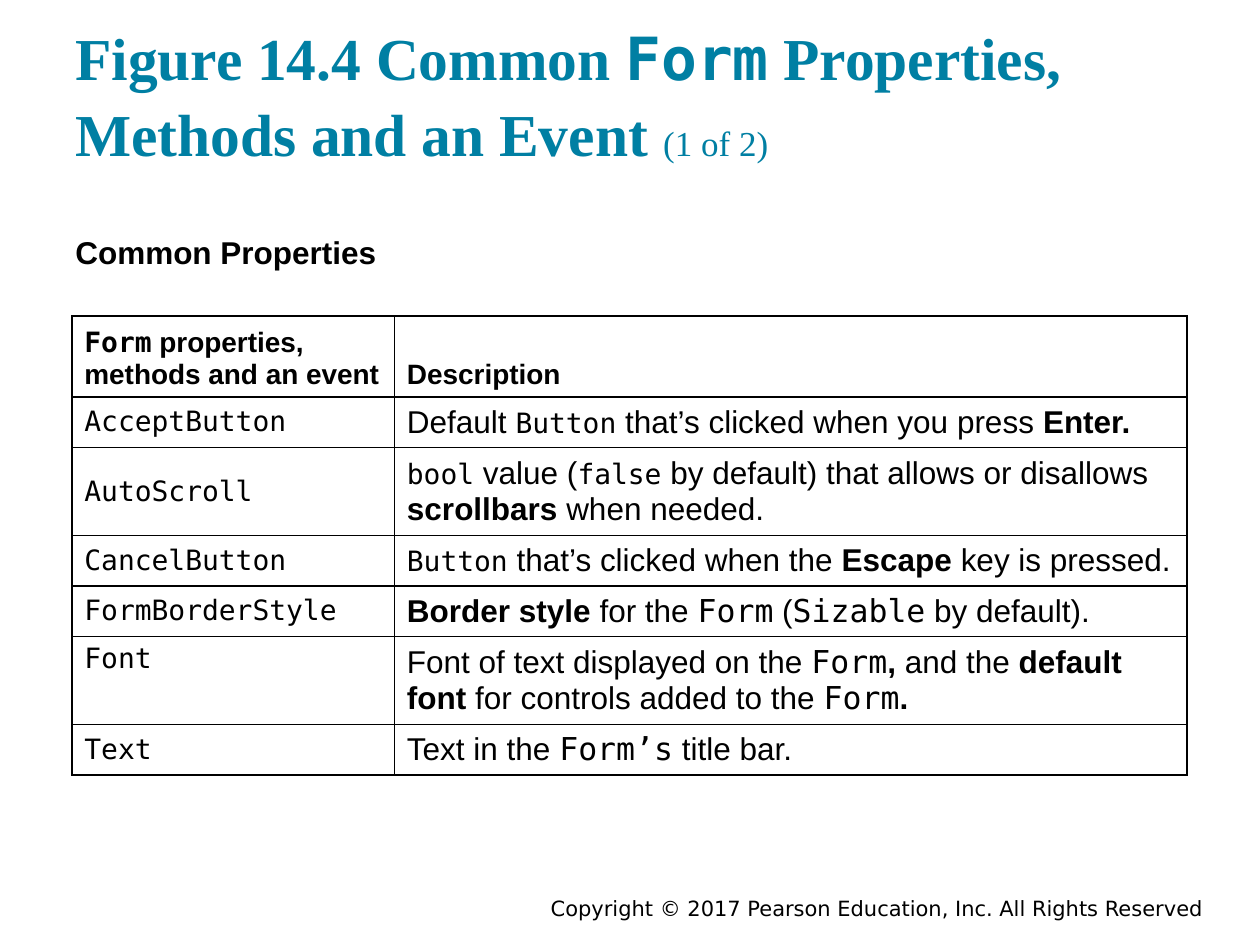
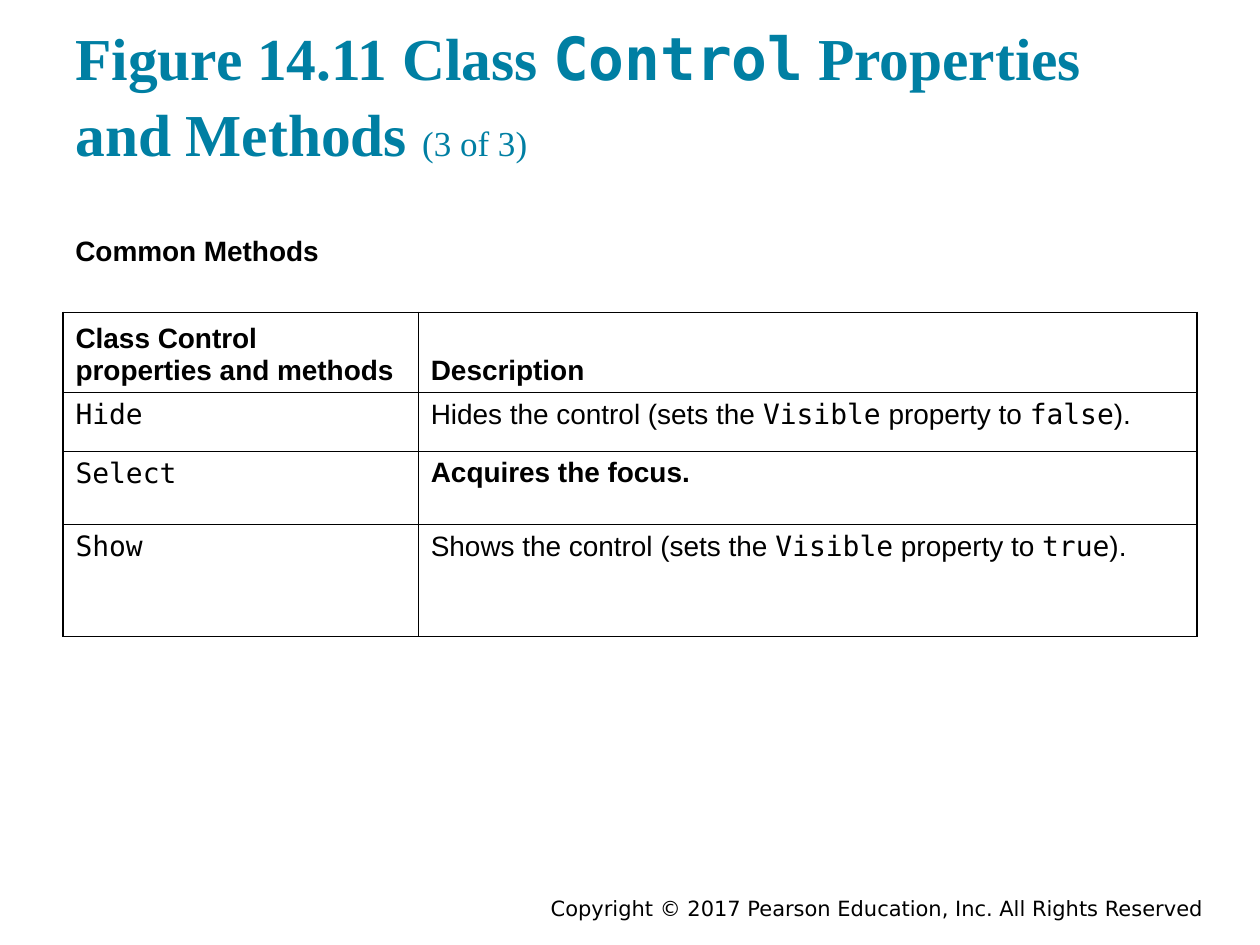
"""Build two slides that list common form and control members in tables."""
import lxml.etree
import pptx
import pptx.dml.color
import pptx.enum.text
import pptx.oxml.ns
import pptx.util

Inches = pptx.util.Inches
TOP = pptx.enum.text.MSO_ANCHOR.TOP
MIDDLE = pptx.enum.text.MSO_ANCHOR.MIDDLE
BOTTOM = pptx.enum.text.MSO_ANCHOR.BOTTOM
LEFT = pptx.enum.text.PP_ALIGN.LEFT
RIGHT = pptx.enum.text.PP_ALIGN.RIGHT

COLORS = {"title": "007FA3", "text": "000000"}
SERIF, SANS, MONO = "Times New Roman", "Arial", "DejaVu Sans Mono"
STYLES = {
    "title": (SERIF, 34, True, "title"),
    "title_code": (MONO, 34, True, "title"),
    "title_part": (SERIF, 20, False, "title"),
    "large": (SANS, 18, False, "text"),
    "large_bold": (SANS, 18, True, "text"),
    "large_code": (MONO, 18, False, "text"),
    "small": (SANS, 16, False, "text"),
    "small_bold": (SANS, 16, True, "text"),
    "small_code": (MONO, 16, False, "text"),
    "small_code_bold": (MONO, 16, True, "text"),
    "footer": ("DejaVu Sans", 12, False, "text"),
}
FOOTER = [("Copyright © 2017 Pearson Education, Inc. All Rights Reserved", "footer")]
DESCRIPTION = [[("Description", "small_bold")]]

PAGES = [
    {
        "title": [("Figure 14.4 Common ", "title"), ("Form", "title_code"),
                  (" Properties, Methods and an Event ", "title"), ("(1 of 2)", "title_part")],
        "heading": [("Common Properties", "large_bold")],
        "heading_height": 0.49,
        "corner": (0.57, 2.51),
        "columns": (2.56, 6.29),
        "header": [[("Form", "small_code_bold"), (" properties,", "small_bold")],
                   [("methods and an event", "small_bold")]],
        "header_height": 0.64,
        "members": [
            ("AcceptButton", 0.34, MIDDLE, MIDDLE, [
                ("Default ", "large"), ("Button", "small_code"),
                (" that’s clicked when you press ", "large"), ("Enter.", "large_bold")]),
            ("AutoScroll", 0.58, MIDDLE, MIDDLE, [
                ("bool", "small_code"), (" value (", "large"), ("false", "small_code"),
                (" by default) that allows or disallows ", "large"),
                ("scrollbars", "large_bold"), (" when needed.", "large")]),
            ("CancelButton", 0.37, MIDDLE, MIDDLE, [
                ("Button", "small_code"), (" that’s clicked when the ", "large"),
                ("Escape", "large_bold"), (" key is pressed.", "large")]),
            ("FormBorderStyle", 0.33, MIDDLE, MIDDLE, [
                ("Border style ", "large_bold"), ("for the ", "large"), ("Form", "large_code"),
                (" (", "large"), ("Sizable", "large_code"), (" by default).", "large")]),
            ("Font", 0.58, TOP, MIDDLE, [
                ("Font of text displayed on the ", "large"), ("Form", "large_code"),
                (", ", "large_bold"), ("and the ", "large"), ("default font ", "large_bold"),
                ("for controls added to the ", "large"), ("Form", "large_code"),
                (".", "large_bold")]),
            ("Text", 0.33, MIDDLE, MIDDLE, [
                ("Text in the ", "large"), ("Form’s", "large_code"), (" title bar.", "large")]),
        ],
    },
    {
        "title": [("Figure 14.11 Class ", "title"), ("Control", "title_code"),
                  (" Properties and Methods ", "title"), ("(3 of 3)", "title_part")],
        "heading": [("Common Methods", "small_bold")],
        "heading_height": 0.41,
        "corner": (0.5, 2.48),
        "columns": (2.82, 6.18),
        "header": [[("Class Control", "small_bold")],
                   [("properties and methods", "small_bold")]],
        "header_height": 0.32,
        "members": [
            ("Hide", 0.47, TOP, TOP, [
                ("Hides the control (sets the ", "small"), ("Visible", "small_code"),
                (" property to ", "small"), ("false", "small_code"), (").", "small")]),
            ("Select", 0.58, TOP, TOP, [("Acquires the focus.", "small_bold")]),
            ("Show", 0.89, TOP, TOP, [
                ("Shows the control (sets the ", "small"), ("Visible", "small_code"),
                (" property to ", "small"), ("true", "small_code"), (").", "small")]),
        ],
    },
]


def write_paragraphs(frame, paragraphs, align=LEFT, line_spacing=None):
    for index, spans in enumerate(paragraphs):
        para = frame.add_paragraph() if index else frame.paragraphs[0]
        para.alignment = align
        para.line_spacing = line_spacing
        for text, style in spans:
            font, size, bold, color = STYLES[style]
            span = para.add_run()
            span.text = text
            span.font.name = font
            span.font.size = pptx.util.Pt(size)
            span.font.bold = bold
            span.font.color.rgb = pptx.dml.color.RGBColor.from_string(COLORS[color])


def draw_borders(cell):
    properties = cell._tc.get_or_add_tcPr()
    for side in ("lnL", "lnR", "lnT", "lnB"):
        line = lxml.etree.SubElement(properties, pptx.oxml.ns.qn(f"a:{side}"), w="12700")
        fill = lxml.etree.SubElement(line, pptx.oxml.ns.qn("a:solidFill"))
        lxml.etree.SubElement(fill, pptx.oxml.ns.qn("a:srgbClr"), val=COLORS["text"])


deck = pptx.Presentation()
deck.slide_width, deck.slide_height = Inches(10), Inches(7.5)

for content in PAGES:
    page = deck.slides.add_slide(deck.slide_layouts[6])

    boxes = [
        ((3, 7.08, 6.65, 0.25), 0.05, MIDDLE, RIGHT, None, FOOTER),
        ((0.5, 0.24, 9, 1.2), 0.1, BOTTOM, LEFT, 1.07, content["title"]),
        ((0.5, 1.75, 9, content["heading_height"]), 0.1, TOP, LEFT, None, content["heading"]),
    ]
    for place, inset, anchor, align, line_spacing, spans in boxes:
        box = page.shapes.add_textbox(*map(Inches, place))
        frame = box.text_frame
        frame.word_wrap = True
        frame.vertical_anchor = anchor
        frame.margin_top = frame.margin_bottom = Inches(inset)
        write_paragraphs(frame, [spans], align, line_spacing)

    rows = [(content["header_height"], (BOTTOM, BOTTOM), (content["header"], DESCRIPTION))]
    for name, height, name_anchor, text_anchor, spans in content["members"]:
        rows.append((height, (name_anchor, text_anchor), ([[(name, "small_code")]], [spans])))

    size = (sum(content["columns"]), sum(row[0] for row in rows))
    table = page.shapes.add_table(
        len(rows), 2, *map(Inches, content["corner"] + size)).table
    table.first_row = table.horz_banding = False
    for column, width in zip(table.columns, content["columns"]):
        column.width = Inches(width)
    for row, (height, anchors, texts) in zip(table.rows, rows):
        row.height = Inches(height)
        for cell, anchor, paragraphs in zip(row.cells, anchors, texts):
            draw_borders(cell)
            cell.fill.background()
            cell.vertical_anchor = anchor
            write_paragraphs(cell.text_frame, paragraphs)

deck.save("out.pptx")
